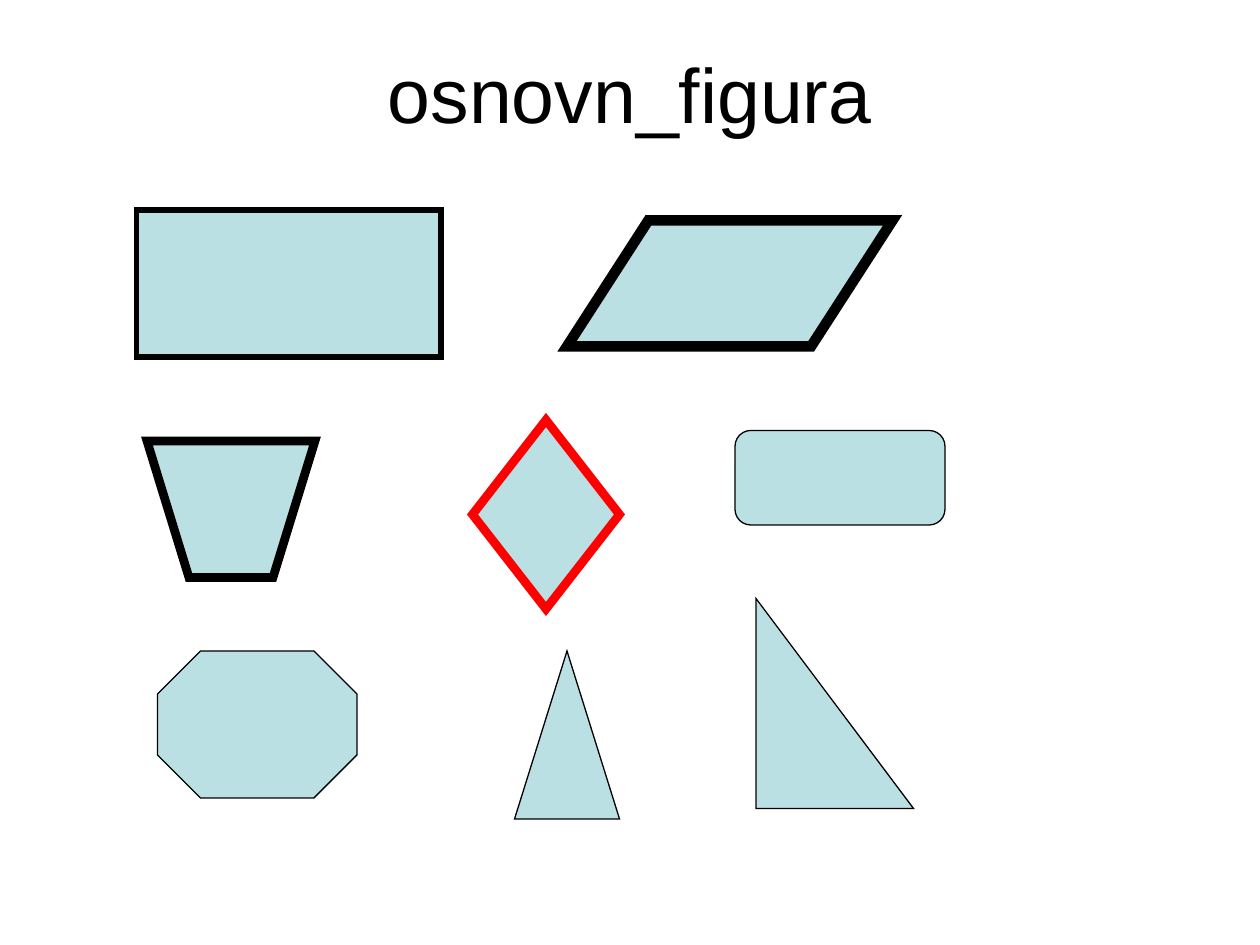
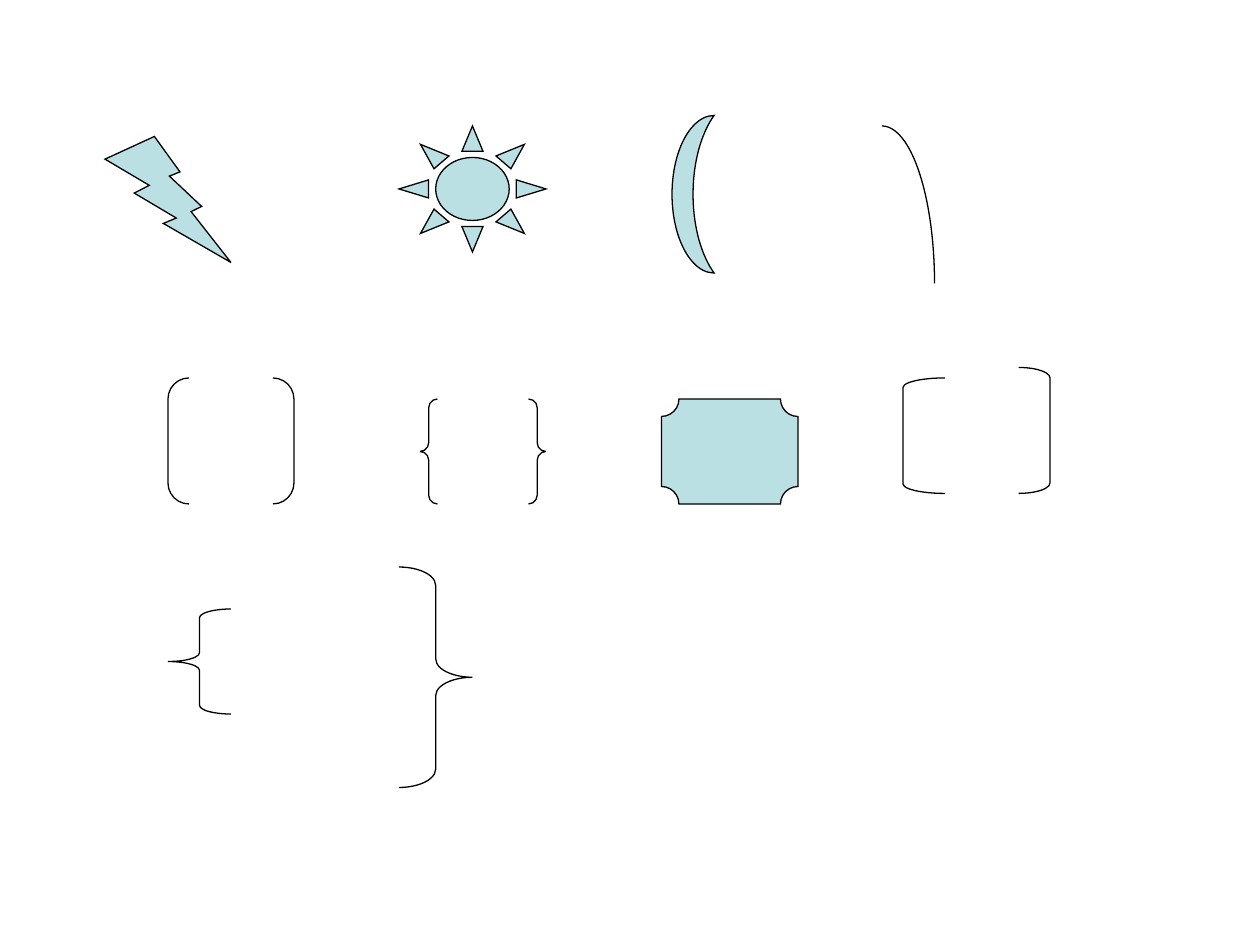
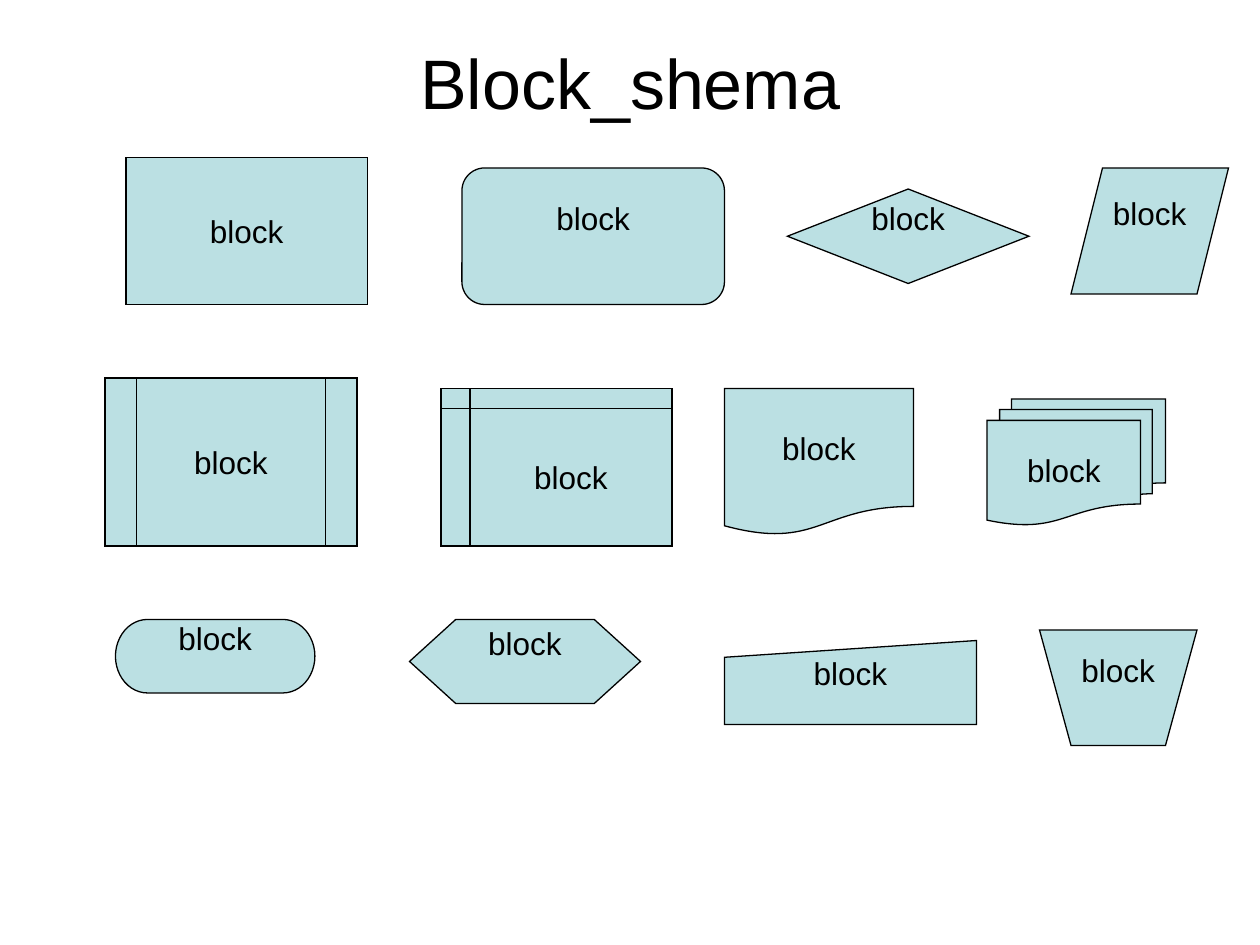
from lxml import etree
from pptx import Presentation
from pptx import util as u
from pptx.dml.color import RGBColor
from pptx.enum import shapes, text
from pptx.oxml import ns

Pt = u.Pt
MSO = shapes.MSO_SHAPE

BLACK = RGBColor(0x00, 0x00, 0x00)
RED = RGBColor(0xFF, 0x00, 0x00)
PALE_TEAL = RGBColor(0xBB, 0xE0, 0xE3)
FONT = "Arial"
THIN = 0.75
BLOCK_SIZE = 18
BLOCK_LIFT = 20.7

SLIDE_WIDTH, SLIDE_HEIGHT = 720, 540
TITLE_LEFT, TITLE_TOP, TITLE_WIDTH = 36, 21.6, 648


def style_figure(figure, fill=PALE_TEAL, line=BLACK, weight=THIN):
    figure.shadow.inherit = False
    if fill is None:
        figure.fill.background()
    else:
        figure.fill.solid()
        figure.fill.fore_color.rgb = fill
    figure.line.color.rgb = line
    figure.line.width = Pt(weight)
    outline = figure.element.spPr.find(ns.qn("a:ln"))
    etree.SubElement(outline, ns.qn("a:miter")).set("lim", "800000")


def add_figure(slide, origin, kind, place, adjust=(), **style):
    left, top, width, height = place
    figure = slide.shapes.add_shape(
        kind, Pt(origin[0] + left), Pt(origin[1] + top), Pt(width), Pt(height))
    for index, value in enumerate(adjust):
        figure.adjustments[index] = value
    style_figure(figure, **style)
    return figure


def write_centred(frame, words, size):
    frame.vertical_anchor = text.MSO_ANCHOR.MIDDLE
    frame.text = words
    paragraph = frame.paragraphs[0]
    paragraph.alignment = text.PP_ALIGN.CENTER
    font = paragraph.runs[0].font
    font.name, font.size, font.color.rgb = FONT, Pt(size), BLACK


def add_title(slide, words, size, height):
    title = slide.shapes.add_textbox(
        Pt(TITLE_LEFT), Pt(TITLE_TOP), Pt(TITLE_WIDTH), Pt(height))
    title.text_frame.word_wrap = True
    write_centred(title.text_frame, words, size)


def add_bucket(slide, origin, place):
    left, top, width, height = place
    left, top = origin[0] + left, origin[1] + top
    inset = width / 4
    builder = slide.shapes.build_freeform(left, top, scale=Pt(1))
    builder.add_line_segments([
        (left + inset, top + height),
        (left + width - inset, top + height),
        (left + width, top)])
    style_figure(builder.convert_to_shape(), weight=5)


def draw_basic_figures(slide, origin):
    add_figure(slide, origin, MSO.RECTANGLE, (6, 0, 174, 84), weight=3)
    add_figure(slide, origin, MSO.PARALLELOGRAM, (252, 6, 186, 72), [0.646], weight=6)
    add_bucket(slide, origin, (12, 132, 96, 78))
    add_figure(slide, origin, MSO.DIAMOND, (198, 120, 84, 108), line=RED, weight=5)
    for kind, place in (
            (MSO.ROUNDED_RECTANGLE, (348, 126, 120, 54)),
            (MSO.OCTAGON, (18, 252, 114, 84)),
            (MSO.ISOSCELES_TRIANGLE, (222, 252, 60, 96)),
            (MSO.RIGHT_TRIANGLE, (360, 222, 90, 120))):
        add_figure(slide, origin, kind, place)


def draw_symbols(slide, origin):
    for kind, place in (
            (MSO.LIGHTNING_BOLT, (0, 12, 72, 72)),
            (MSO.SUN, (168, 6, 84, 72)),
            (MSO.MOON, (324, 0, 24, 90)),
            (MSO.PLAQUE, (318, 162, 78, 60))):
        add_figure(slide, origin, kind, place)
    for kind, place, adjust in (
            (MSO.ARC, (414, 6, 60, 180), ()),
            (MSO.DOUBLE_BRACKET, (36, 150, 72, 72), ()),
            (MSO.DOUBLE_BRACE, (180, 162, 72, 60), ()),
            (MSO.LEFT_BRACKET, (456, 150, 24, 66), (0.229,)),
            (MSO.RIGHT_BRACKET, (522, 144, 18, 72), (0.333,)),
            (MSO.LEFT_BRACE, (36, 282, 36, 60), (0.139, 0.5)),
            (MSO.RIGHT_BRACE, (168, 258, 42, 126), (0.25, 0.5))):
        add_figure(slide, origin, kind, place, adjust, fill=None)


def add_block(slide, origin, kind, place, lifted):
    frame = add_figure(slide, origin, kind, place).text_frame
    frame.word_wrap = False
    if lifted:
        frame.margin_top, frame.margin_bottom = Pt(0), Pt(BLOCK_LIFT)
    write_centred(frame, "block", BLOCK_SIZE)


def draw_flowchart_blocks(slide, origin):
    for kind, place, lifted in (
            (MSO.FLOWCHART_PROCESS, (12, 0, 138, 84), False),
            (MSO.FLOWCHART_ALTERNATE_PROCESS, (204, 6, 150, 78), True),
            (MSO.FLOWCHART_DECISION, (390, 18, 138, 54), True),
            (MSO.FLOWCHART_DATA, (552, 6, 90, 72), True),
            (MSO.FLOWCHART_PREDEFINED_PROCESS, (0, 126, 144, 96), False),
            (MSO.FLOWCHART_INTERNAL_STORAGE, (192, 132, 132, 90), False),
            (MSO.FLOWCHART_DOCUMENT, (354, 132, 108, 84), False),
            (MSO.FLOWCHART_MULTIDOCUMENT, (504, 138, 102, 72), False),
            (MSO.FLOWCHART_TERMINATOR, (6, 264, 114, 42), True),
            (MSO.FLOWCHART_PREPARATION, (174, 264, 132, 48), True),
            (MSO.FLOWCHART_MANUAL_INPUT, (354, 276, 144, 48), True),
            (MSO.FLOWCHART_MANUAL_OPERATION, (534, 270, 90, 66), True)):
        add_block(slide, origin, kind, place, lifted)


def main():
    deck = Presentation()
    deck.slide_width, deck.slide_height = Pt(SLIDE_WIDTH), Pt(SLIDE_HEIGHT)
    basics, symbols, flowchart = (
        deck.slides.add_slide(deck.slide_layouts[6]) for _ in range(3))

    add_title(basics, "osnovn_figura", 44, 62.6)
    draw_basic_figures(basics, (72, 120))

    draw_symbols(symbols, (60, 66))

    add_title(flowchart, "Block_shema", 40, 50.4)
    draw_flowchart_blocks(flowchart, (60, 90))

    deck.save("out.pptx")


if __name__ == "__main__":
    main()
